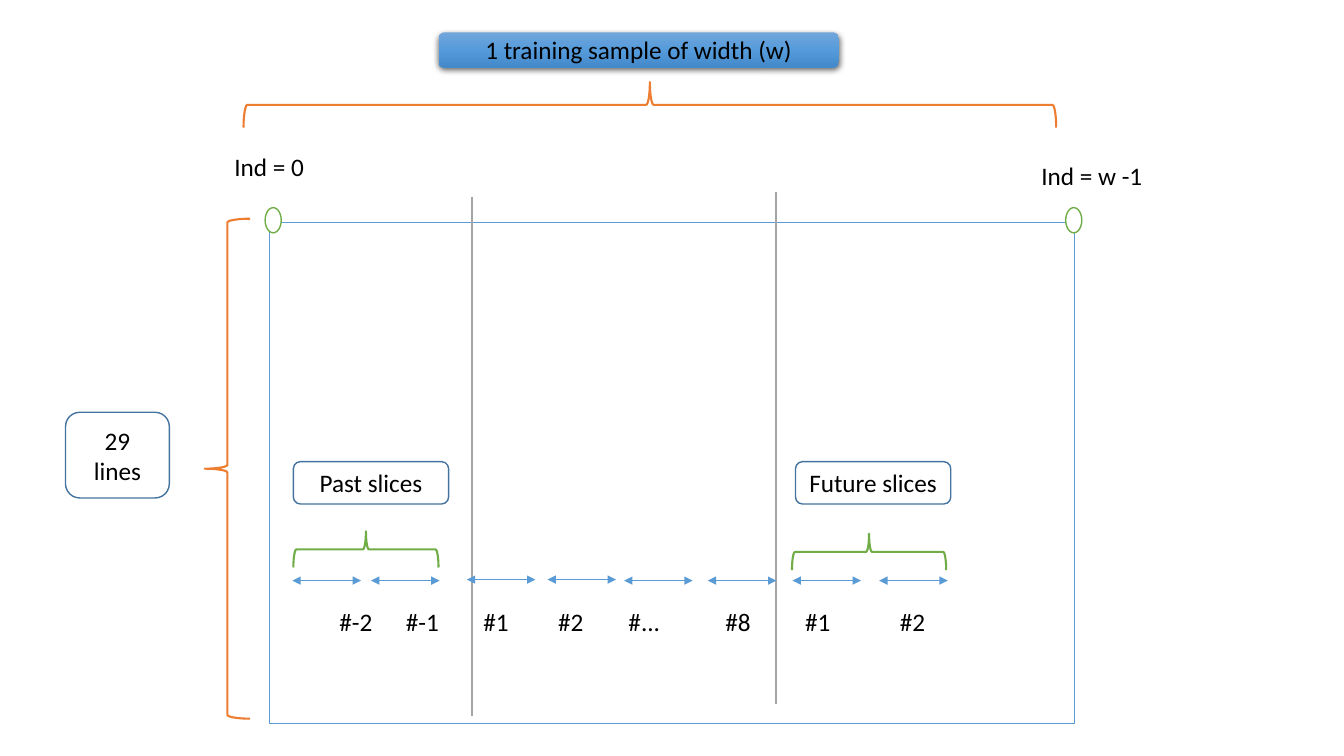
from pptx import Presentation
from pptx.dml.color import RGBColor as RGB
from pptx.enum.shapes import MSO_CONNECTOR as LINK, MSO_SHAPE as SHAPE
from pptx.enum.text import MSO_ANCHOR as ANCHOR, MSO_AUTO_SIZE as FIT, PP_ALIGN as ALIGN
from pptx.oxml import parse_xml
from pptx.oxml.ns import nsdecls
from pptx.util import Pt
from lxml.etree import SubElement as Sub

# Content: lengths in px, 100 to the inch
SIZE = (1333, 750)
FRAME = (267, 221, 799, 497)
HEAD = ("1 training sample of width (w)", (435, 32, 397, 35))
BOXES = [
    ("29 lines", (65, 409, 103, 85)),
    ("Past slices", (291, 458, 154, 42)),
    ("Future slices", (789, 458, 154, 42)),
]
ENDS = [("Ind = 0", (213, 145, 108, 40)), ("Ind = w -1", (1010, 154, 146, 40))]
DOTS = [263, 1057]
BRACES = [  # shape, box before turning, turn, colour
    (SHAPE.LEFT_BRACE, (203, 217, 45, 496), 0, "orange"),
    (SHAPE.LEFT_BRACE, (622, -299, 45, 806), 90, "orange"),
    (SHAPE.RIGHT_BRACE, (345, 473, 36, 144), 270, "green"),
    (SHAPE.RIGHT_BRACE, (844, 471, 36, 153), 270, "green"),
]
WALLS = [(468, 195, 710), (770, 190, 698)]  # x, top, bottom
SLICES = [  # label, label left, arrow left, arrow y
    ("#-2", 322, 290, 576),
    ("#-1", 388, 368, 576),
    ("#1", 461, 463, 575),
    ("#2", 535, 543, 575),
    ("#...", 608, 619, 576),
    ("#8", 701, 702, 576),
    ("#1", 780, 786, 576),
    ("#2", 874, 872, 576),
]
SPAN = 68
TAG = (597, 62, 40)  # top, width, height

THEME = dict(
    blue="5B9BD5", navy="43739E", orange="ED7D31", green="70AD47",
    gray="A5A5A5", white="FFFFFF", black="000000",
    blend=[(0, "71A6DB"), (50, "559BDB"), (100, "448ACA")],
    font="Calibri", size=18, hair=0.5, thin=1, bold=1.5,
)


def px(*nums):
    return [n * 9144 for n in nums]


def hue(name):
    return RGB.from_string(THEME[name])


def put(obj, **vals):
    for key, val in vals.items():
        setattr(obj, key, val)


def write(obj, text, **form):
    frame = obj.text_frame
    put(frame, word_wrap=True, **form)
    para = frame.paragraphs[0]
    put(para, text=text, alignment=ALIGN.CENTER)
    put(para.font, name=THEME["font"], size=Pt(THEME["size"]))
    para.font.color.rgb = hue("black")


def draw(kind, box, line=None, width="thin", fill="white"):
    obj = shapes.add_shape(kind, *px(*box))
    obj.shadow.inherit = False
    if fill:
        obj.fill.solid()
        obj.fill.fore_color.rgb = hue(fill)
    else:
        obj.fill.background()
    if line:
        obj.line.color.rgb = hue(line)
        obj.line.width = Pt(THEME[width])
    else:
        obj.line.fill.background()
    return obj


def label(text, box):
    write(shapes.add_textbox(*px(*box)), text, auto_size=FIT.SHAPE_TO_FIT_TEXT)


def link(ends, color, width, heads=False):
    obj = shapes.add_connector(LINK.STRAIGHT, *px(*ends))
    obj.line.color.rgb = hue(color)
    obj.line.width = Pt(THEME[width])
    props = obj._element.spPr
    if heads:
        for end in ("head", "tail"):
            Sub(props.ln, props.ln.tag[:-2] + end + "End", type="triangle")
    Sub(props, props.ln.tag[:-2] + "effectLst")


deck = Presentation()
deck.slide_width, deck.slide_height = px(*SIZE)
shapes = deck.slides.add_slide(deck.slide_layouts[6]).shapes

# Sample frame, braces and corner dots
draw(SHAPE.RECTANGLE, FRAME, "blue")
for kind, box, turn, color in BRACES:
    draw(kind, box, color, "bold", None).rotation = turn
for left in DOTS:
    draw(SHAPE.OVAL, (left, 206, 16, 25), "green")
for text, box in ENDS:
    label(text, box)

# Walls between past, present and future
for x, top, low in WALLS:
    link((x, top, x, low), "gray", "bold")

# Heading with gradient and shadow
text, box = HEAD
head = draw(SHAPE.ROUNDED_RECTANGLE, box, fill=None)
write(head, text, vertical_anchor=ANCHOR.MIDDLE)
stops = "".join(
    f'<a:gs pos="{pos * 1000}"><a:srgbClr val="{val}"/></a:gs>'
    for pos, val in THEME["blend"])
props = head._element.spPr
props.replace(props.find("{*}noFill"), parse_xml(
    f'<a:gradFill {nsdecls("a")} rotWithShape="1"><a:gsLst>{stops}</a:gsLst>'
    '<a:lin ang="5400000" scaled="0"/></a:gradFill>'))
props.find("{*}effectLst").append(parse_xml(
    f'<a:outerShdw {nsdecls("a")} blurRad="{Pt(4.5)}" dist="{Pt(1.5)}" '
    'dir="5400000" algn="ctr" rotWithShape="0">'
    f'<a:srgbClr val="{THEME["black"]}"><a:alpha val="63000"/></a:srgbClr>'
    '</a:outerShdw>'))

# Slices: arrow and tag
top, wide, high = TAG
for text, left, start, y in SLICES:
    link((start, y, start + SPAN, y), "blue", "hair", True)
    label(text, (left, top, wide, high))

# Named boxes
for text, box in BOXES:
    write(draw(SHAPE.ROUNDED_RECTANGLE, box, "navy"), text,
          vertical_anchor=ANCHOR.MIDDLE)

deck.save("out.pptx")
